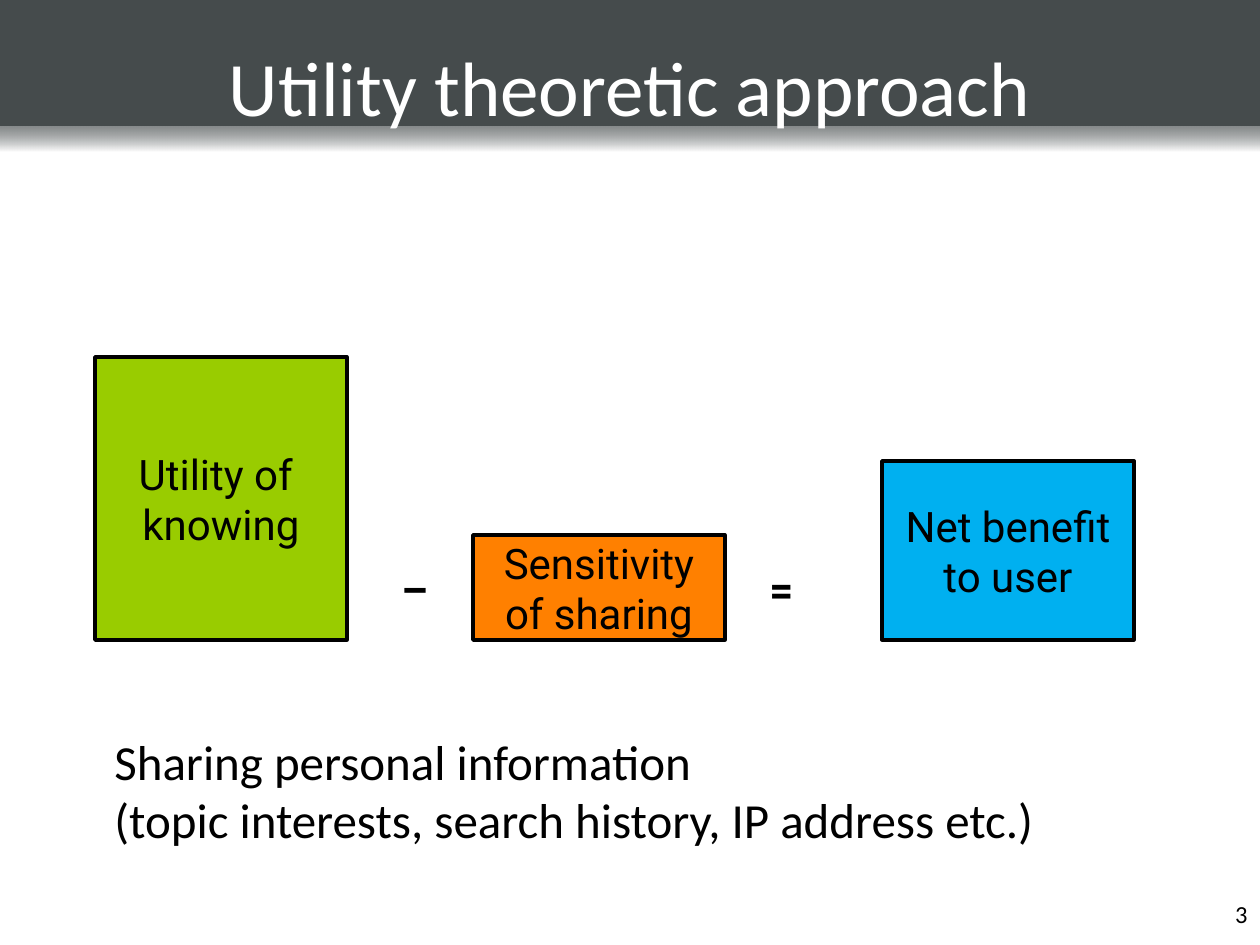
from lxml import etree
from pptx import Presentation
from pptx.dml.color import RGBColor
from pptx.enum.shapes import MSO_SHAPE
from pptx.enum.text import MSO_ANCHOR, PP_ALIGN
from pptx.oxml.ns import qn
from pptx.util import Emu, Pt

RECTANGLE = MSO_SHAPE.RECTANGLE
TOP, MIDDLE, BOTTOM = MSO_ANCHOR.TOP, MSO_ANCHOR.MIDDLE, MSO_ANCHOR.BOTTOM
LEFT, CENTER, RIGHT = PP_ALIGN.LEFT, PP_ALIGN.CENTER, PP_ALIGN.RIGHT
EMU_PER_PX = 914400 / 126
SLIDE_W, SLIDE_H = 1260, 945
SLATE, WHITE, BLACK = "454B4C", "FFFFFF", "000000"


def px(length):
    """Turn whole pixels into EMU."""
    return Emu(round(length * EMU_PER_PX))


def color(hex_code):
    """Turn a hex string into a colour."""
    return RGBColor.from_string(hex_code)


def write(shape, text, size, font, hex_code=BLACK, align=LEFT, anchor=TOP, wrap=True, bold=False):
    """Put formatted text into a shape and return its paragraph."""
    frame = shape.text_frame
    frame.text = text
    frame.word_wrap = wrap
    frame.vertical_anchor = anchor
    paragraph = frame.paragraphs[0]
    paragraph.alignment = align
    for run in paragraph.runs:
        run.font.size = Pt(size)
        run.font.name = font
        run.font.bold = bold
        run.font.color.rgb = color(hex_code)
    return paragraph


def add_text(slide, box, text, size, font, **style):
    """Add a text box and return its shape."""
    label = slide.shapes.add_textbox(*map(px, box))
    write(label, text, size, font, **style)
    return label


def add_block(slide, box, fill=None, outlined=False):
    """Add a flat rectangle, optionally filled and outlined."""
    block = slide.shapes.add_shape(RECTANGLE, *map(px, box))
    block.shadow.inherit = False
    if fill:
        block.fill.solid()
        block.fill.fore_color.rgb = color(fill)
    if outlined:
        block.line.color.rgb = color(BLACK)
        block.line.width = Pt(2)
    else:
        block.line.fill.background()
    return block


def add_header(slide, left, top, width, height):
    """Draw the title band with a fading strip below it."""
    fade = add_block(slide, (left, top + height, width, 26))
    fade.fill.gradient()
    fade.fill.gradient_angle = 270
    for stop, hex_code, position in zip(fade.fill.gradient_stops, (SLATE, WHITE), (0, 1)):
        stop.color.rgb = color(hex_code)
        stop.position = position
    slate_stop = next(fade._element.iter(qn("a:srgbClr")))
    etree.SubElement(slate_stop, qn("a:alpha")).set("val", "65000")

    add_block(slide, (left, top, width, height), SLATE)
    title = add_text(slide, (left, top + 28, width, height - 22), "Utility theoretic approach",
                     44, "Calibri", hex_code=WHITE, align=CENTER, anchor=BOTTOM)
    title.text_frame.margin_bottom = 0


def add_equation(slide, left, top, width, height):
    """Draw utility minus sensitivity equals benefit as bars on one baseline."""
    bars = [
        (0, height, "99CC00", "Utility of \vknowing"),
        (378, 105, "FF8000", "Sensitivity\vof sharing"),
        (width - 252, 179, "00B0F0", "Net benefit\vto user"),
    ]
    for offset, bar_height, fill, label in bars:
        bar = add_block(slide, (left + offset, top + height - bar_height, 252, bar_height),
                        fill, outlined=True)
        write(bar, label, 24, "Roboto", align=CENTER, anchor=MIDDLE, wrap=False)
    for offset, sign in ((294, "–"), (662, "=")):
        add_text(slide, (left + offset, top + 200, 42, 63), sign, 24, "Roboto",
                 align=CENTER, bold=True)


def add_explanation(slide, left, top, width, height):
    """Write the indented explanation of what is shared."""
    explanation = add_text(slide, (left, top, width, height),
                           "Sharing personal information\v"
                           "(topic interests, search history, IP address etc.)",
                           28, "Calibri")
    properties = explanation.text_frame.paragraphs[0]._p.get_or_add_pPr()
    properties.set("marL", str(px(39)))
    properties.set("indent", "0")


def main():
    """Build and save the slide."""
    deck = Presentation()
    deck.slide_width, deck.slide_height = px(SLIDE_W), px(SLIDE_H)
    slide = deck.slides.add_slide(deck.slide_layouts[6])
    add_header(slide, 0, 0, SLIDE_W, 126)
    add_explanation(slide, 63, 725, 1144, 179)
    add_equation(slide, 95, 357, 1039, 283)
    add_text(slide, (998, 872, 262, 63), "3", 14, "Calibri", align=RIGHT, anchor=BOTTOM)
    deck.save("out.pptx")


if __name__ == "__main__":
    main()
